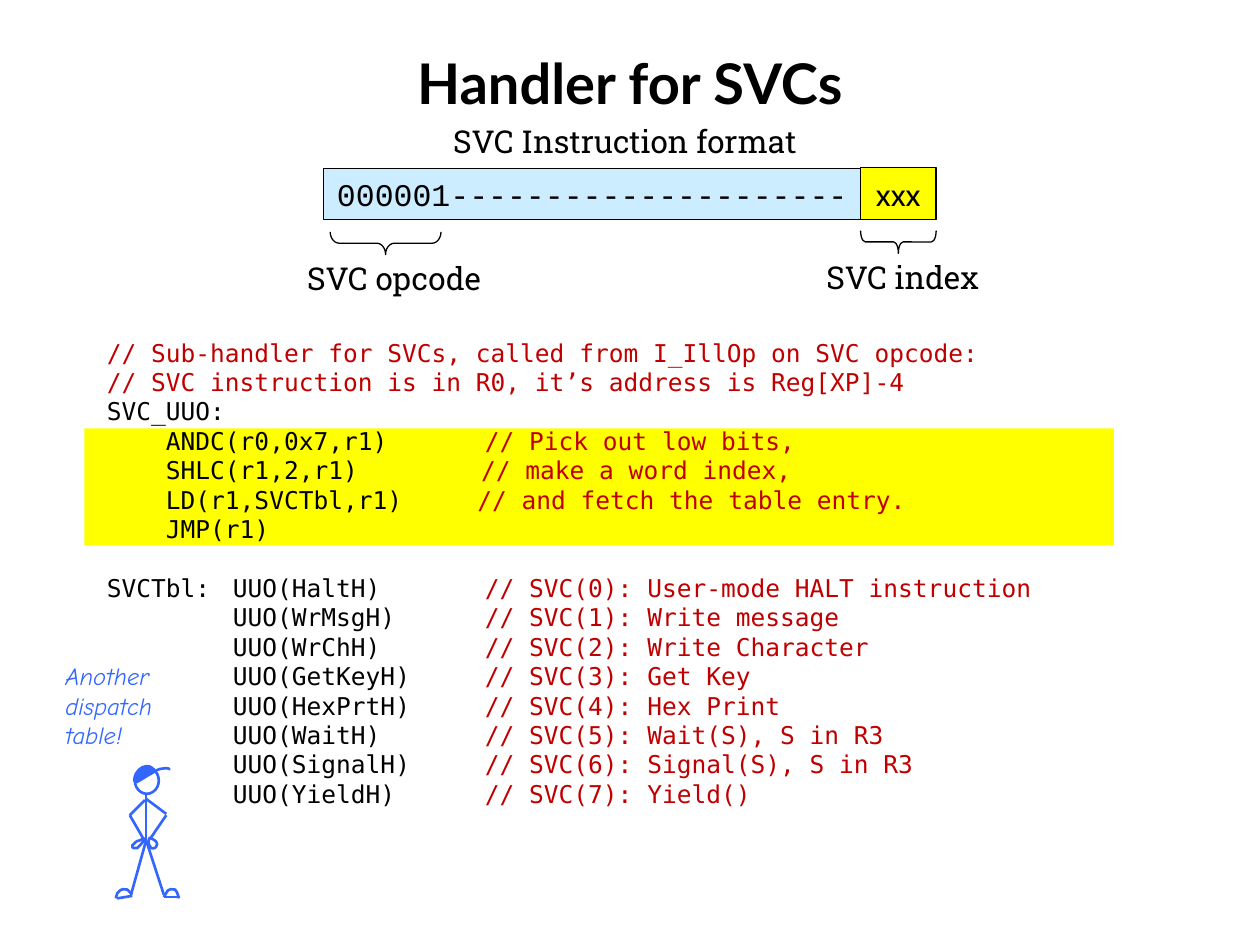
from pptx import Presentation
from pptx.dml.color import RGBColor
from pptx.enum.shapes import MSO_CONNECTOR as Connector, MSO_SHAPE as Shape
from pptx.enum.text import MSO_ANCHOR as Anchor, PP_ALIGN as Align
from pptx.oxml.ns import qn
from pptx.util import Inches, Pt
from lxml import etree

BLACK, RED, BLUE, YELLOW = "000000", "C00000", "3366FF", "FFFF00"
SLAB = {"name": "Roboto Slab", "size": Pt(18)}
CODE = {"name": "DejaVu Sans Mono", "size": Pt(14)}


def paint(shape, fill=None, line=None, width=0.75):
    """Give a shape a flat fill and outline, either of which may be absent."""
    shape.shadow.inherit = False
    for part, color in ((shape.fill, fill), (shape.line.fill, line)):
        if color:
            part.solid()
            part.fore_color.rgb = RGBColor.from_string(color)
        else:
            part.background()
    if line:
        shape.line.width = Pt(width)


def add_run(paragraph, text, font, color=BLACK):
    run = paragraph.add_run()
    run.text = text
    for name, value in font.items():
        setattr(run.font, name, value)
    run.font.color.rgb = RGBColor.from_string(color)


presentation = Presentation()
presentation.slide_width, presentation.slide_height = Inches(10), Inches(7.5)
slide = presentation.slides.add_slide(presentation.slide_layouts[5])
shapes = slide.shapes

# Title
title = shapes.title
title.left, title.top, title.width, title.height = map(Inches, (0.5, 0.3, 9, 0.7))
title.text_frame.vertical_anchor = Anchor.MIDDLE
paragraph = title.text_frame.paragraphs[0]
paragraph.alignment = Align.CENTER
add_run(paragraph, "Handler for SVCs", {"name": "Lato", "size": Pt(32), "bold": True})

# Highlight and instruction fields
fields = [
    ((0.67, 3.4, 8.17, 0.93), YELLOW, None, "", {}),
    ((6.83, 1.33, 0.6, 0.41), YELLOW, BLACK, "xxx", {"name": "Cabin", "size": Pt(18)}),
    ((2.57, 1.34, 4.26, 0.4), "CCECFF", BLACK, "000001" + "-" * 21,
     {"name": "Courier New", "size": Pt(18)}),
]
for box, fill, line, text, font in fields:
    field = shapes.add_shape(Shape.RECTANGLE, *map(Inches, box))
    paint(field, fill, line)
    if text:
        field.text_frame.vertical_anchor = Anchor.MIDDLE
        paragraph = field.text_frame.paragraphs[0]
        paragraph.alignment = Align.CENTER
        add_run(paragraph, text, font)

# Braces under the fields
for box, curl in (((2.97, 1.49, 0.18, 0.88), 0.39), ((7.04, 1.62, 0.18, 0.6), 0.21)):
    brace = shapes.add_shape(Shape.RIGHT_BRACE, *map(Inches, box))
    brace.rotation = 90
    brace.adjustments[0], brace.adjustments[1] = curl, 0.5
    paint(brace, line=BLACK)

# Labels
labels = [
    ("SVC opcode", (2.34, 2.01, 1.67, 0.4), Align.LEFT, SLAB, BLACK),
    ("SVC index", (6.46, 2, 1.48, 0.4), Align.LEFT, SLAB, BLACK),
    ("SVC Instruction format", (3.42, 0.92, 3.08, 0.4), Align.CENTER, SLAB, BLACK),
    ("Another dispatch table!", (0.42, 5.2, 1, 0.81), Align.LEFT,
     {"name": "Comic Neue", "size": Pt(14), "italic": True}, BLUE),
]
for text, box, alignment, font, color in labels:
    label = shapes.add_textbox(*map(Inches, box))
    label.text_frame.word_wrap = True
    paragraph = label.text_frame.paragraphs[0]
    paragraph.alignment = alignment
    add_run(paragraph, text, font, color)

# Code: instruction, comment and the comment's tab stop on each line
code_lines = [
    ("", "// Sub-handler for SVCs, called from I_IllOp on SVC opcode:", 3),
    ("", "// SVC instruction is in R0, it’s address is Reg[XP]-4", 3),
    ("SVC_UUO:", "", 3),
    ("    ANDC(r0,0x7,r1)\t", "// Pick out low bits,", 3),
    ("    SHLC(r1,2,r1)\t", "// make a word index,", 2.97),
    ("    LD(r1,SVCTbl,r1)\t", "// and fetch the table entry.", 2.94),
    ("    JMP(r1)", "", 3),
]
handlers = [
    ("HaltH", "User-mode HALT instruction"), ("WrMsgH", "Write message"),
    ("WrChH", "Write Character"), ("GetKeyH", "Get Key"), ("HexPrtH", "Hex Print"),
    ("WaitH", "Wait(S), S in R3"), ("SignalH", "Signal(S), S in R3"), ("YieldH", "Yield()"),
]
for index, (handler, purpose) in enumerate(handlers):
    table_name = "SVCTbl:" if index == 0 else ""
    code_lines.append((f"{table_name}\tUUO({handler})\t", f"// SVC({index}): {purpose}", 3))

code_frame = shapes.add_textbox(*map(Inches, (0.75, 2.63, 7.58, 4.11))).text_frame
code_frame.word_wrap = True
for index, (instruction, comment, comment_stop) in enumerate(code_lines):
    paragraph = code_frame.add_paragraph() if index else code_frame.paragraphs[0]
    if instruction.startswith("SVCTbl"):
        paragraph.space_before = Pt(16.8)
    stops = (1, comment_stop) if "UUO(" in instruction else (comment_stop,)
    if "\t" in instruction:
        tab_list = etree.SubElement(paragraph._p.get_or_add_pPr(), qn("a:tabLst"))
        for stop in stops:
            etree.SubElement(tab_list, qn("a:tab"), pos=str(Inches(stop)), algn="l")
    for text, color in ((instruction, BLACK), (comment, RED)):
        if text:
            add_run(paragraph, text, CODE, color)

# Stick figure: straight limbs, then curves as a start point and Bézier triples
figure = shapes.add_group_shape().shapes
limbs = [
    (1.16, 6.3, 1.16, 6.67), (1.16, 6.67, 1.3, 7.1), (1.16, 6.67, 1.04, 7.1),
    (1.3, 7.12, 1.43, 7.12), (1.05, 7.11, 0.93, 7.13), (1.16, 6.34, 1.32, 6.46),
    (1.32, 6.47, 1.19, 6.66), (1.15, 6.35, 1.03, 6.47), (1.03, 6.47, 1.14, 6.66),
]
for ends in limbs:
    limb = figure.add_connector(Connector.STRAIGHT, *map(Inches, ends))
    limb.line.color.rgb = RGBColor.from_string(BLUE)
    limb.line.width = Pt(1.5)
    etree.SubElement(limb._element.spPr, qn("a:effectLst"))

head = figure.add_shape(Shape.OVAL, *map(Inches, (1.07, 6.09, 0.19, 0.21)))
paint(head, line=BLUE, width=1.5)

right_foot = [(1.42, 7.13), (1.41, 7.09), (1.4, 7.07), (1.39, 7.06), (1.37, 7.05),
              (1.34, 7.06), (1.33, 7.07), (1.32, 7.08), (1.31, 7.11), (1.3, 7.12)]
left_foot = [(0.92, 7.13), (0.93, 7.09), (0.93, 7.08), (0.95, 7.07), (0.96, 7.06),
             (0.99, 7.05), (1.01, 7.06), (1.03, 7.07), (1.04, 7.1), (1.05, 7.1)]
right_hand = [(1.19, 6.65), (1.2, 6.65), (1.23, 6.67), (1.24, 6.68), (1.25, 6.69),
              (1.25, 6.71), (1.24, 6.72), (1.24, 6.73), (1.24, 6.73), (1.23, 6.73),
              (1.22, 6.74), (1.2, 6.73), (1.2, 6.73), (1.19, 6.72), (1.18, 6.7),
              (1.18, 6.69), (1.18, 6.68), (1.18, 6.65), (1.19, 6.65)]
left_hand = [(1.15, 6.66), (1.15, 6.65), (1.12, 6.66), (1.11, 6.67), (1.09, 6.67),
             (1.08, 6.68), (1.07, 6.69), (1.06, 6.7), (1.05, 6.71), (1.05, 6.71),
             (1.05, 6.72), (1.05, 6.73), (1.06, 6.73), (1.06, 6.73), (1.08, 6.73),
             (1.09, 6.73), (1.1, 6.72), (1.11, 6.71), (1.12, 6.7), (1.13, 6.69),
             (1.15, 6.66), (1.15, 6.66)]
cap_brim = [(1.08, 6.21), (1.12, 6.19), (1.16, 6.16), (1.2, 6.14), (1.23, 6.12),
            (1.26, 6.1), (1.29, 6.1), (1.31, 6.09), (1.33, 6.1), (1.34, 6.1),
            (1.35, 6.1), (1.34, 6.11), (1.34, 6.11)]
cap = [(1.07, 6.2), (1.06, 6.2), (1.07, 6.16), (1.08, 6.14), (1.09, 6.12), (1.11, 6.1),
       (1.13, 6.09), (1.15, 6.08), (1.17, 6.08), (1.18, 6.08), (1.2, 6.08), (1.21, 6.1),
       (1.21, 6.1), (1.22, 6.11), (1.23, 6.1), (1.22, 6.11), (1.21, 6.12), (1.18, 6.15),
       (1.15, 6.16), (1.13, 6.18), (1.08, 6.2), (1.07, 6.2)]
for curve in (right_foot, left_foot, right_hand, left_hand, cap_brim, cap):
    start, *controls = [(Inches(x), Inches(y)) for x, y in curve]
    builder = figure.build_freeform(*start)
    builder.add_line_segments(controls, close=curve[0] == curve[-1])
    outline = builder.convert_to_shape()
    paint(outline, BLUE if curve is cap else None, BLUE, 1.5)
    # Turn each three line segments into one Bézier segment
    segments = list(outline._element.iter(qn("a:lnTo")))
    for first in range(0, len(segments), 3):
        bezier = etree.Element(qn("a:cubicBezTo"))
        segments[first].addprevious(bezier)
        for segment in segments[first:first + 3]:
            bezier.append(segment[0])
            segment.getparent().remove(segment)

presentation.save("out.pptx")
